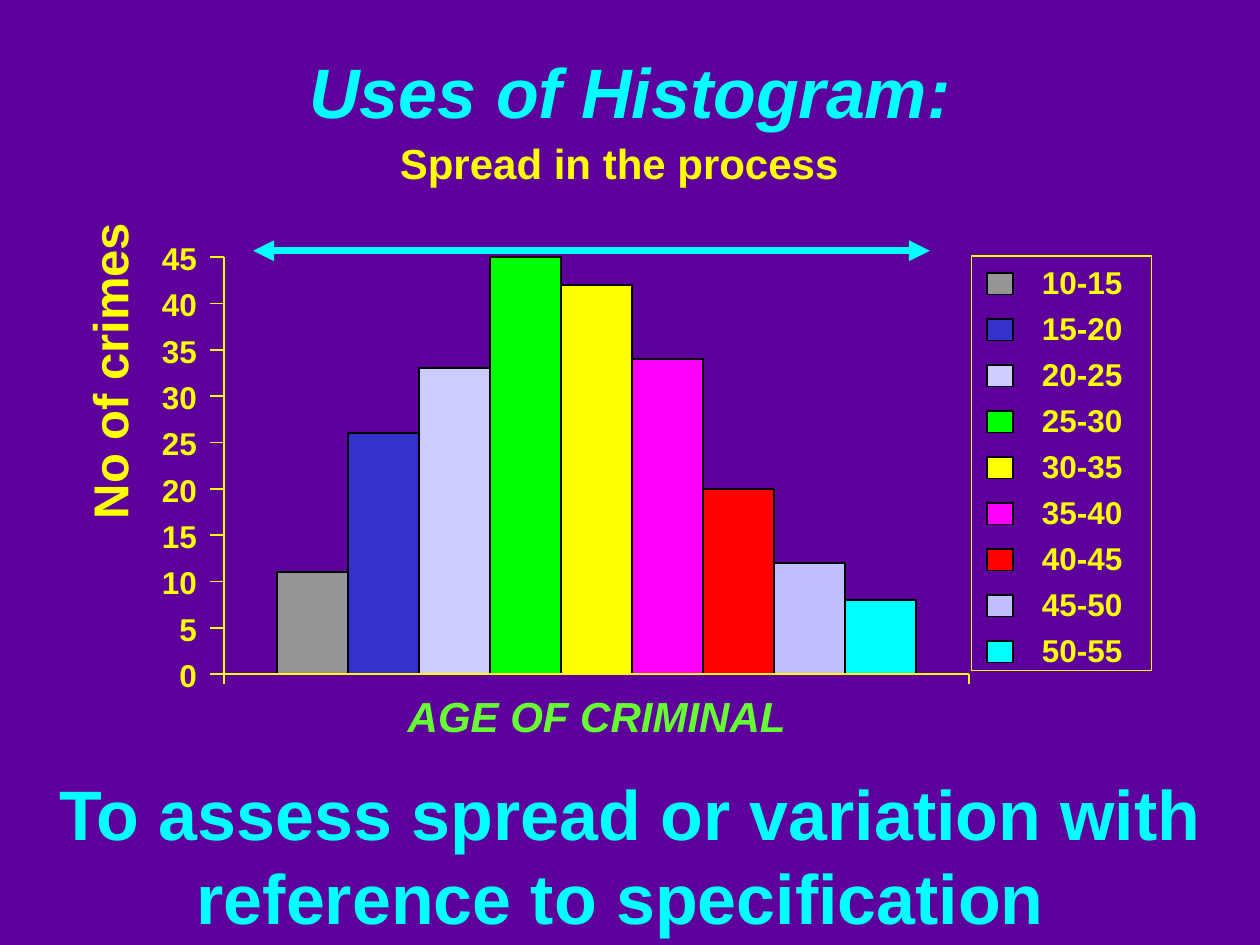
from lxml.etree import SubElement
from pptx import Presentation
from pptx.dml.color import RGBColor
from pptx.enum.shapes import MSO_CONNECTOR, MSO_SHAPE
from pptx.enum.text import PP_ALIGN
from pptx.oxml.ns import qn
from pptx.util import Pt

# Content
TITLE = "Uses of Histogram:"
SUBTITLE = "Spread in the process"
# The closing space takes part in the centring of the last line
CONCLUSION = "To assess spread or variation with reference to specification "
COUNT_TITLE = "No of crimes"
AGE_TITLE = "AGE OF CRIMINAL"
AGE_GROUPS = [  # ages, crimes, colour
    ("10-15", 11, "gray"),
    ("15-20", 26, "blue"),
    ("20-25", 33, "lavender"),
    ("25-30", 45, "green"),
    ("30-35", 42, "yellow"),
    ("35-40", 34, "magenta"),
    ("40-45", 20, "red"),
    ("45-50", 12, "periwinkle"),
    ("50-55", 8, "cyan"),
]
COLORS = {
    "background": "5D009C", "black": "000000", "gray": "969696",
    "blue": "3333CC", "lavender": "CCCCFF", "green": "00FF00",
    "yellow": "FFFF00", "magenta": "FF00FF", "red": "FF0000",
    "periwinkle": "C0C0FF", "cyan": "00FFFF", "lime": "66FF33",
}

# Layout in points
AXIS_LEFT, AXIS_RIGHT = 128.2, 553.7
AXIS_TOP, AXIS_BOTTOM = 146.9, 385.2
MAX_COUNT, COUNT_STEP = 45, 5
TICK_LENGTH = 8
COUNT_RIGHT, DIGIT_WIDTH = 112.5, 10
LABEL_HEIGHT = 21.6
BARS_LEFT, BAR_WIDTH = 158.4, 40.57
LEGEND_TOP, LEGEND_STEP = 156.2, 26.28
SWATCH_LEFT, SWATCH_WIDTH, SWATCH_HEIGHT = 563.8, 15.1, 12.2
LEGEND_TEXT_LEFT, LEGEND_TEXT_WIDTH = 595.4, 46

prs = Presentation()
prs.slide_width, prs.slide_height = Pt(720), Pt(540)
slide = prs.slides.add_slide(prs.slide_layouts[6])


def rgb(name):
    return RGBColor.from_string(COLORS[name])


slide.background.fill.solid()
slide.background.fill.fore_color.rgb = rgb("background")


def add_text(text, left, top, width, height, size=18, color="yellow",
             italic=False, align=PP_ALIGN.CENTER, wrap=True, padded=True,
             rotation=0):
    box = slide.shapes.add_textbox(Pt(left), Pt(top), Pt(width), Pt(height))
    box.rotation = rotation
    frame = box.text_frame
    frame.word_wrap = wrap
    if not padded:
        frame.margin_left = frame.margin_right = 0
        frame.margin_top = frame.margin_bottom = 0
    paragraph = frame.paragraphs[0]
    paragraph.alignment = align
    run = paragraph.add_run()
    run.text = text
    run.font.name = "Arial"
    run.font.size = Pt(size)
    run.font.bold = True
    run.font.italic = italic
    run.font.color.rgb = rgb(color)


def add_box(left, top, width, height, fill=None, line="black"):
    box = slide.shapes.add_shape(
        MSO_SHAPE.RECTANGLE, Pt(left), Pt(top), Pt(width), Pt(height))
    box.shadow.inherit = False
    if fill:
        box.fill.solid()
        box.fill.fore_color.rgb = rgb(fill)
    else:
        box.fill.background()
    box.line.color.rgb = rgb(line)
    box.line.width = Pt(1)


def add_line(x1, y1, x2, y2, color="yellow", width=1, arrows=False):
    line = slide.shapes.add_connector(
        MSO_CONNECTOR.STRAIGHT, Pt(x1), Pt(y1), Pt(x2), Pt(y2))
    line.line.color.rgb = rgb(color)
    line.line.width = Pt(width)
    if arrows:
        for end in ("a:headEnd", "a:tailEnd"):
            SubElement(line.line._get_or_add_ln(), qn(end), type="triangle")
    SubElement(line._element.spPr, qn("a:effectLst"))


def count_y(count):
    return AXIS_BOTTOM - count * (AXIS_BOTTOM - AXIS_TOP) / MAX_COUNT


# Conclusion and title
add_text(CONCLUSION, 0, 437, 720, 103, size=40, color="cyan")
add_text(TITLE, 24, 24, 672, 55.4, size=40, color="cyan", italic=True)

# Bars
for i, (ages, crimes, color) in enumerate(AGE_GROUPS):
    top = count_y(crimes)
    add_box(BARS_LEFT + i * BAR_WIDTH, top, BAR_WIDTH, AXIS_BOTTOM - top, color)

# Axes, ticks and count labels
add_line(AXIS_LEFT, AXIS_TOP, AXIS_LEFT, AXIS_BOTTOM)
add_line(AXIS_LEFT, AXIS_BOTTOM, AXIS_RIGHT, AXIS_BOTTOM)
for x in (AXIS_LEFT, AXIS_RIGHT):
    add_line(x, AXIS_BOTTOM + 5.8, x, AXIS_BOTTOM)
for count in range(0, MAX_COUNT + 1, COUNT_STEP):
    y = count_y(count)
    label = str(count)
    width = DIGIT_WIDTH * len(label)
    add_line(AXIS_LEFT - TICK_LENGTH, y, AXIS_LEFT, y)
    add_text(label, COUNT_RIGHT - width, y - LABEL_HEIGHT / 2 + 0.5, width,
             LABEL_HEIGHT, wrap=False, padded=False)

# Legend
add_box(555.1, 146.2, 103, 236.9, line="yellow")
for i, (ages, crimes, color) in enumerate(AGE_GROUPS):
    top = LEGEND_TOP + i * LEGEND_STEP
    add_box(SWATCH_LEFT, top, SWATCH_WIDTH, SWATCH_HEIGHT, color)
    add_text(ages, LEGEND_TEXT_LEFT, top - 5.8, LEGEND_TEXT_WIDTH,
             LABEL_HEIGHT, wrap=False, padded=False)

# Axis titles
add_text(COUNT_TITLE, -29.5, 191.5, 183.6, 41, size=28,
         align=PP_ALIGN.LEFT, wrap=False, rotation=270)
add_text(AGE_TITLE, AXIS_LEFT, 391, AXIS_RIGHT - AXIS_LEFT, 36, size=24,
         color="lime", italic=True)

# Spread arrow and its caption
add_line(144.7, 143.3, 531.4, 143.3, color="cyan", width=4, arrows=True)
add_text(SUBTITLE, 149.8, 74.9, 408.2, 36, size=24)

prs.save("out.pptx")
